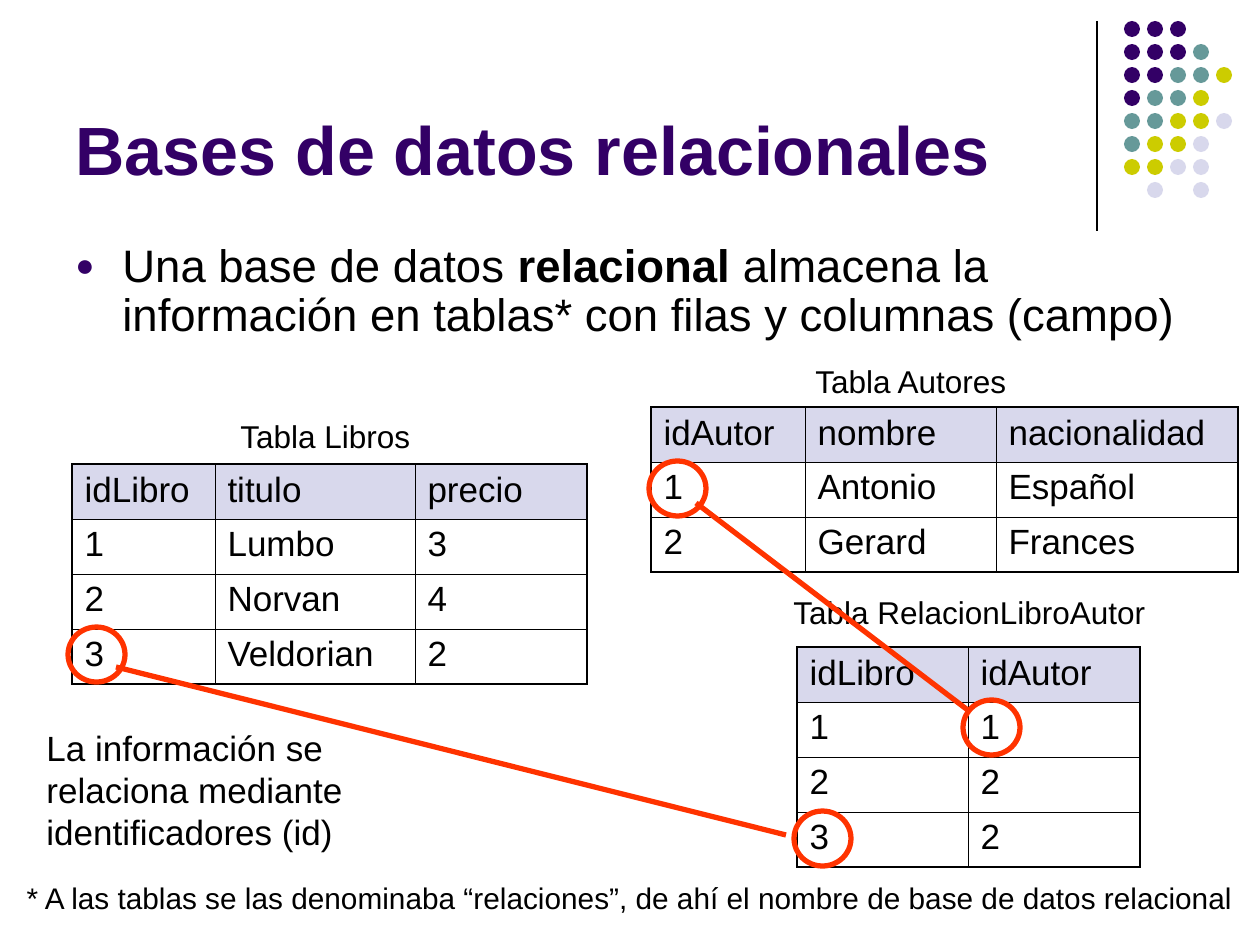
from lxml import etree
from pptx import Presentation, util as u
from pptx.dml.color import RGBColor
from pptx.enum import shapes, text
from pptx.oxml import ns

SCALE = 914400 / 126  # EMU in one px
FONT = "Arial"
BLACK = RGBColor(0x00, 0x00, 0x00)
PURPLE = RGBColor(0x33, 0x00, 0x66)
TEAL = RGBColor(0x66, 0x99, 0x99)
OLIVE = RGBColor(0xCC, 0xCC, 0x00)
PALE = RGBColor(0xD8, 0xD8, 0xEC)
RED = RGBColor(0xFF, 0x33, 0x00)

# Dot motif: one letter per colour, a space for a gap
HUES = {"P": PURPLE, "T": TEAL, "O": OLIVE, "L": PALE}
DOTS = ["PPP", "PPPT", "PPTTO", "PTTO", "TTOOL", "TOOL", "OOLL", " L L"]

ROW = 55
RING = (57, 55)
# Caption, its box, table corner, column widths, rows
TABLES = [
    ("Tabla Libros", (228, 411, 198, 50), (72, 464), (143, 200, 172),
     [("idLibro", "titulo", "precio"), ("1", "Lumbo", "3"),
      ("2", "Norvan", "4"), ("3", "Veldorian", "2")]),
    ("Tabla Autores", (803, 356, 220, 50), (651, 407), (154, 191, 242),
     [("idAutor", "nombre", "nacionalidad"), ("1", "Antonio", "Español"),
      ("2", "Gerard", "Frances")]),
    ("Tabla RelacionLibroAutor", (781, 587, 380, 50), (797, 647), (171, 172),
     [("idLibro", "idAutor"), ("1", "1"), ("2", "2"), ("3", "2")]),
]
RINGS = [(68, 627), (794, 811), (963, 700), (649, 461)]
LINKS = [(116, 667, 786, 835), (696, 503, 969, 711)]


def px(*nums):
    return [u.Emu(round(n * SCALE)) for n in nums]


def add_run(para, words, size, color=BLACK, bold=False):
    run = para.add_run()
    run.text = words
    font = run.font
    font.name, font.size, font.bold = FONT, u.Pt(size), bold
    font.color.rgb = color


def add_text(slide, box, runs, size, color=BLACK, wrap=True,
             align=text.PP_ALIGN.LEFT, anchor=text.MSO_ANCHOR.TOP):
    """Add a one-paragraph box; runs are (words, bold) pairs."""
    frame = slide.shapes.add_textbox(*px(*box)).text_frame
    frame.word_wrap = wrap
    frame.vertical_anchor = anchor
    para = frame.paragraphs[0]
    para.alignment = align
    for words, bold in runs:
        add_run(para, words, size, color, bold)
    return para


def add_bullet(para, indent, color):
    props = para._p.get_or_add_pPr()
    shift, = px(indent)
    props.set("marL", str(shift))
    props.set("indent", str(-shift))
    hue = etree.SubElement(props, ns.qn("a:buClr"))
    etree.SubElement(hue, ns.qn("a:srgbClr"), val=str(color))
    etree.SubElement(props, ns.qn("a:buSzPct"), val="70000")
    etree.SubElement(props, ns.qn("a:buFont"), typeface=FONT)
    etree.SubElement(props, ns.qn("a:buChar"), char="●")


def add_oval(slide, box, fill=None, line=None):
    oval = slide.shapes.add_shape(shapes.MSO_SHAPE.OVAL, *px(*box))
    oval.shadow.inherit = False
    if fill is None:
        oval.fill.background()
    else:
        oval.fill.solid()
        oval.fill.fore_color.rgb = fill
    if line is None:
        oval.line.fill.background()
    else:
        oval.line.color.rgb = line
        oval.line.width = u.Pt(3)


def add_line(slide, ends, color, width):
    line = slide.shapes.add_connector(shapes.MSO_CONNECTOR.STRAIGHT, *px(*ends))
    line.line.color.rgb = color
    line.line.width = u.Pt(width)
    etree.SubElement(line._element.spPr, ns.qn("a:effectLst"))


def set_edges(cell, outer):
    """Draw the four cell borders, thicker on the sides named in outer."""
    props = cell._tc.get_or_add_tcPr()
    for side in "LRTB":
        width = u.Pt(1.08 if side in outer else 0.45)
        edge = etree.SubElement(props, ns.qn("a:ln" + side), w=str(width))
        fill = etree.SubElement(edge, ns.qn("a:solidFill"))
        etree.SubElement(fill, ns.qn("a:srgbClr"), val=str(BLACK))


def add_grid(slide, corner, widths, rows):
    size = (sum(widths), ROW * len(rows))
    grid = slide.shapes.add_table(len(rows), len(widths), *px(*corner, *size)).table
    grid.first_row = grid.horz_banding = False
    for col, width in zip(grid.columns, px(*widths)):
        col.width = width
    for r, row in enumerate(rows):
        grid.rows[r].height, = px(ROW)
        for c, words in enumerate(row):
            cell = grid.cell(r, c)
            rims = {"T": r == 0, "B": r == len(rows) - 1,
                    "L": c == 0, "R": c == len(row) - 1}
            set_edges(cell, [side for side, on in rims.items() if on])
            if r == 0:
                cell.fill.solid()
                cell.fill.fore_color.rgb = PALE
            else:
                cell.fill.background()
            add_run(cell.text_frame.paragraphs[0], words, 20)


def add_motif(slide):
    add_line(slide, (1097, 21, 1097, 231), BLACK, 0.75)
    for r, row in enumerate(DOTS):
        for c, key in enumerate(row):
            if key in HUES:
                add_oval(slide, (1124 + 23 * c, 21 + 23 * r, 16, 16), HUES[key])


def main():
    deck = Presentation()
    deck.slide_width, deck.slide_height = px(1260, 945)
    slide = deck.slides.add_slide(deck.slide_layouts[6])
    add_motif(slide)

    # Title and main point
    add_text(slide, (63, 16, 1040, 179), [("Bases de datos relacionales", True)],
             39, PURPLE, anchor=text.MSO_ANCHOR.BOTTOM)
    point = add_text(slide, (63, 237, 1128, 121), [
        ("Una base de datos ", False), ("relacional", True),
        (" almacena la información en tablas* con filas y columnas (campo)", False),
    ], 26)
    point.line_spacing = 0.9
    add_bullet(point, 47, PURPLE)

    # Footnote
    add_text(slide, (0, 874, 1260, 49), [
        ("* A las tablas se las denominaba “relaciones”, de ahí el nombre "
         "de base de datos relacional", False)], 17, align=text.PP_ALIGN.CENTER)

    # Tables with captions
    for name, box, corner, widths, rows in TABLES:
        add_grid(slide, corner, widths, rows)
        add_text(slide, box, [(name, False)], 18, wrap=False)

    # Linked identifiers
    add_text(slide, (34, 720, 349, 139), [
        ("La información se relaciona mediante identificadores (id)", False)], 20)
    for spot in RINGS:
        add_oval(slide, (*spot, *RING), line=RED)
    for ends in LINKS:
        add_line(slide, ends, RED, 3)

    deck.save("out.pptx")


if __name__ == "__main__":
    main()
